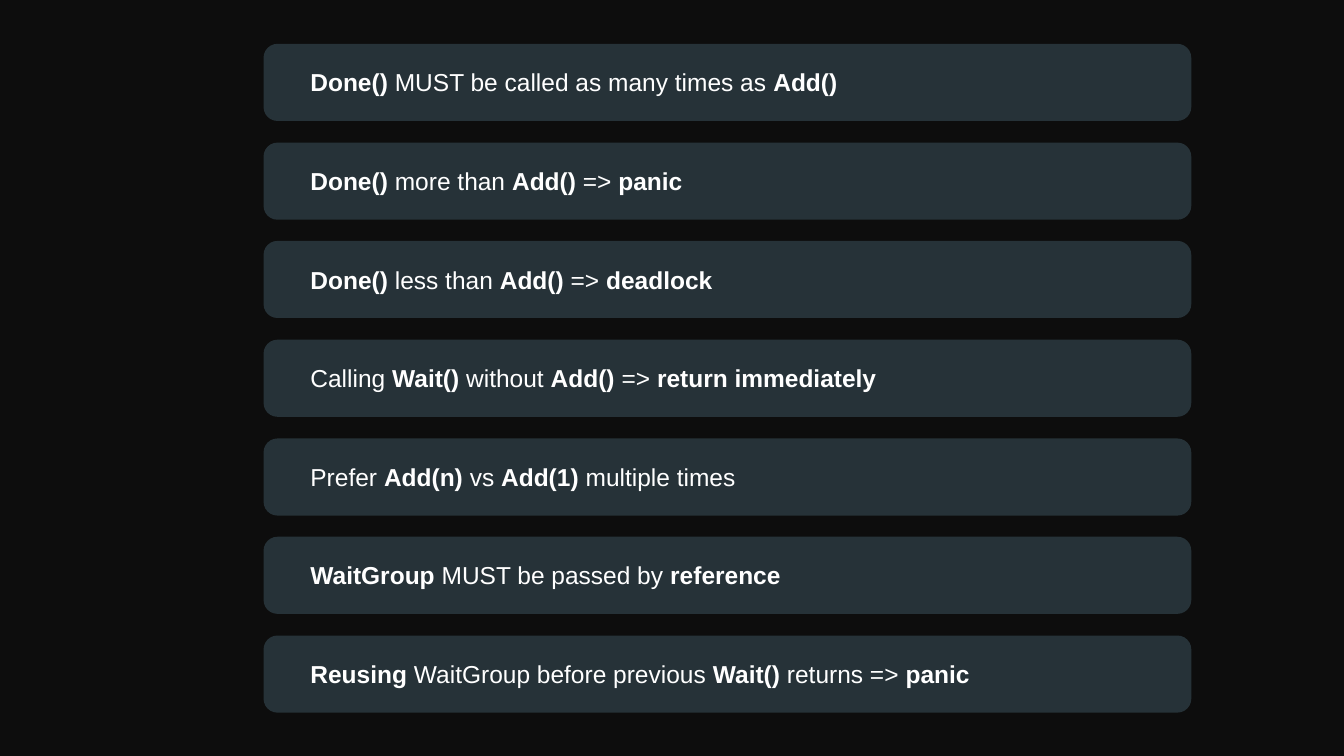
from pptx import Presentation
from pptx.dml.color import RGBColor
from pptx.enum.shapes import MSO_SHAPE
from pptx.enum.text import MSO_ANCHOR, MSO_AUTO_SIZE, PP_ALIGN
from pptx.util import Pt

ROUND = MSO_SHAPE.ROUNDED_RECTANGLE
MIDDLE = MSO_ANCHOR.MIDDLE
FIXED = MSO_AUTO_SIZE.NONE
LEFT = PP_ALIGN.LEFT
PX = 9144

RULES = [
    ("*Done()* MUST be called as many times as *Add()*", 1300),
    ("*Done()* more than *Add()* => *panic*", 920),
    ("*Done()* less than *Add()* => *deadlock*", 1008),
    ("Calling *Wait()* without *Add()* => *return immediately*", 1476),
    ("Prefer *Add(n)* vs *Add(1)* multiple times", 1125),
    ("*WaitGroup* MUST be passed by *reference*", 1095),
    ("*Reusing* WaitGroup before previous *Wait()* returns => *panic*", 1681),
]
FIRST, LAST = 87, 1261


def px(*sizes):
    return [size * PX for size in sizes]


def tint(code):
    return RGBColor.from_string(code)


def apply(target, values):
    for name, value in values.items():
        setattr(target, name, value)


class Deck:
    back, card, ink = "0D0D0D", "263238", "FFFFFF"
    font = {"name": "Arial", "size": Pt(35)}
    frame = dict.fromkeys(
        ("margin_left", "margin_top", "margin_right", "margin_bottom"), 6 * PX
    ) | {"word_wrap": True, "auto_size": FIXED, "vertical_anchor": MIDDLE}

    def __init__(self, show):
        self.slide = show.slides.add_slide(show.slide_layouts[6])
        self.paint(self.slide.background.fill, self.back)

    def paint(self, fill, code):
        fill.solid()
        fill.fore_color.rgb = tint(code)

    def panel(self, left, top, width, height):
        box = self.slide.shapes.add_shape(ROUND, *px(left, top, width, height))
        box.adjustments[0] = 0.18
        box.shadow.inherit = False
        self.paint(box.fill, self.card)
        box.line.fill.background()

    def text(self, words, left, top, width, height):
        box = self.slide.shapes.add_textbox(*px(left, top, width, height))
        apply(box.text_frame, self.frame)
        line = box.text_frame.paragraphs[0]
        line.alignment = LEFT
        for place, part in enumerate(words.split("*")):
            if part:
                run = line.add_run()
                run.text = part
                apply(run.font, self.font | {"bold": place % 2 == 1})
                run.font.color.rgb = tint(self.ink)


def main():
    show = Presentation()
    show.slide_width, show.slide_height = px(2667, 1500)
    deck = Deck(show)
    step = (LAST - FIRST) / (len(RULES) - 1)
    for row, (words, width) in enumerate(RULES):
        top = round(FIRST + row * step)
        deck.panel(523, top, 1841, 153)
        deck.text(words, 610, top + 37, width, 78)
    show.save("out.pptx")


if __name__ == "__main__":
    main()
